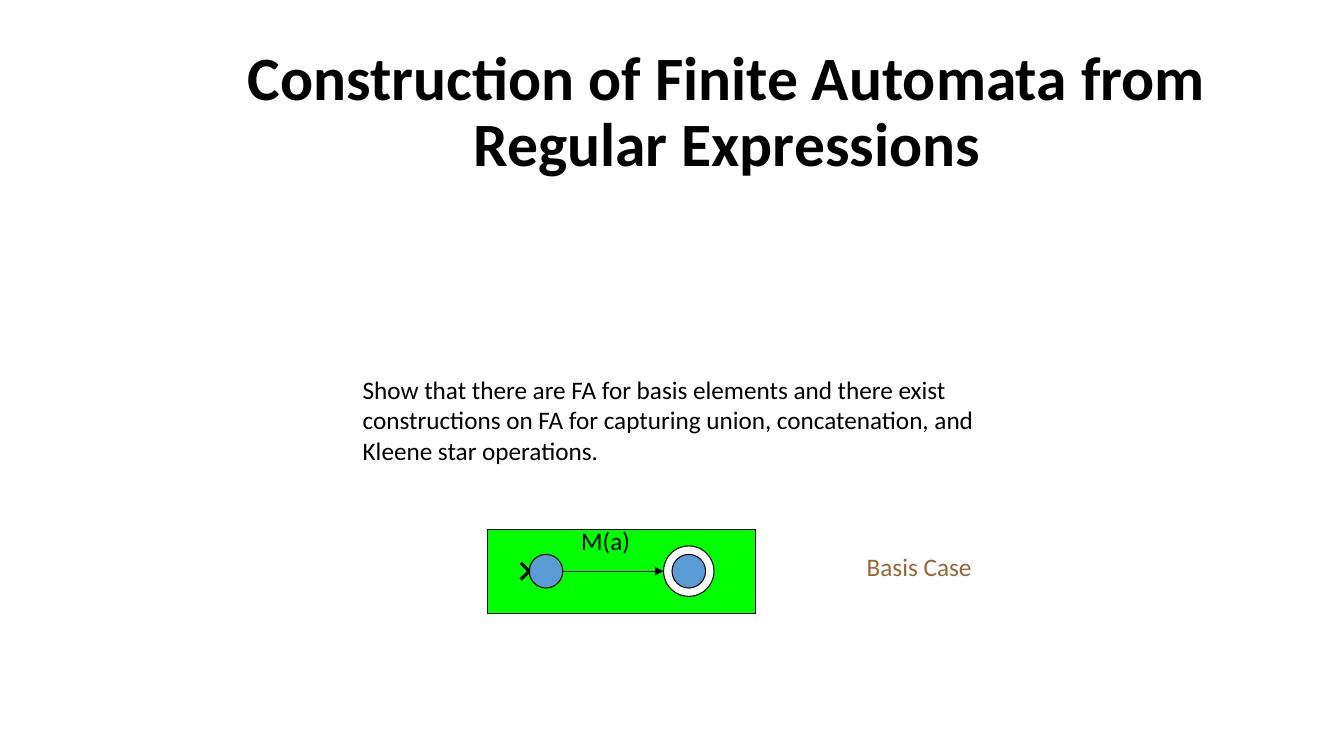
from pptx import Presentation
from pptx.dml.color import RGBColor
from pptx.enum import shapes, text
from pptx.oxml.ns import qn
from pptx.util import Pt
from lxml import etree


def tint(code):
    return RGBColor.from_string(code)


class Board:
    font = "Calibri"
    ink = "000000"
    thin = 0.75

    def __init__(self, slide):
        self.slide = slide

    def block(self, kind, left, top, wide, high, fill):
        form = self.slide.shapes.add_shape(
            kind, Pt(left), Pt(top), Pt(wide), Pt(high))
        form.shadow.inherit = False
        form.fill.solid()
        form.fill.fore_color.rgb = tint(fill)
        form.line.color.rgb = tint(self.ink)
        form.line.width = Pt(self.thin)

    def disc(self, x, y, size, fill):
        self.block(shapes.MSO_SHAPE.OVAL, x - size / 2, y - size / 2,
                   size, size, fill)

    def stroke(self, x1, y1, x2, y2, width=thin, arrow=False):
        link = self.slide.shapes.add_connector(
            shapes.MSO_CONNECTOR.STRAIGHT, Pt(x1), Pt(y1), Pt(x2), Pt(y2))
        link.line.color.rgb = tint(self.ink)
        link.line.width = Pt(width)
        if arrow:
            tail = etree.SubElement(link.line._get_or_add_ln(), qn("a:tailEnd"))
            tail.set("type", "triangle")
        etree.SubElement(link._element.spPr, qn("a:effectLst"))

    def label(self, words, left, top, wide, high, size=18, color=ink,
              wrap=True, title=False):
        box = self.slide.shapes.add_textbox(
            Pt(left), Pt(top), Pt(wide), Pt(high))
        frame = box.text_frame
        frame.text = words
        frame.word_wrap = wrap
        para = frame.paragraphs[0]
        if title:
            frame.vertical_anchor = text.MSO_ANCHOR.MIDDLE
            para.alignment = text.PP_ALIGN.CENTER
            para.line_spacing = 0.9
        else:
            frame.auto_size = text.MSO_AUTO_SIZE.SHAPE_TO_FIT_TEXT
        font = para.runs[0].font
        font.name = self.font
        font.size = Pt(size)
        font.bold = title
        font.color.rgb = tint(color)


def main():
    deck = Presentation()
    deck.slide_width, deck.slide_height = Pt(960), Pt(540)
    board = Board(deck.slides.add_slide(deck.slide_layouts[6]))

    mid, start, final = 408, 390, 492
    small, large, notch = 24, 36, 6
    blue = "5B9BD5"
    edge = start - small / 2

    board.block(shapes.MSO_SHAPE.RECTANGLE, 348, mid - 30, 192, 60, "00FF00")
    board.disc(final, mid, large, "FFFFFF")
    for x in (start, final):
        board.disc(x, mid, small, blue)
    for side in (-notch, notch):
        board.stroke(edge - notch, mid + side, edge, mid, width=2.25)
    board.label("M(a)", 408, 372, 49.7, 29, wrap=False)

    board.label("Construction of Finite Automata from Regular Expressions",
                144.7, 28.8, 749.5, 104.4, size=44, title=True)
    board.label("Show that there are FA for basis elements and there exist "
                "constructions on FA for capturing union, concatenation, "
                "and Kleene star operations.", 252, 264, 498, 72.7)
    board.stroke(start + small / 2, mid, final - large / 2, mid, arrow=True)
    board.label("Basis Case", 612, 390, 90, 29, color="996633", wrap=False)
    deck.save("out.pptx")


if __name__ == "__main__":
    main()
